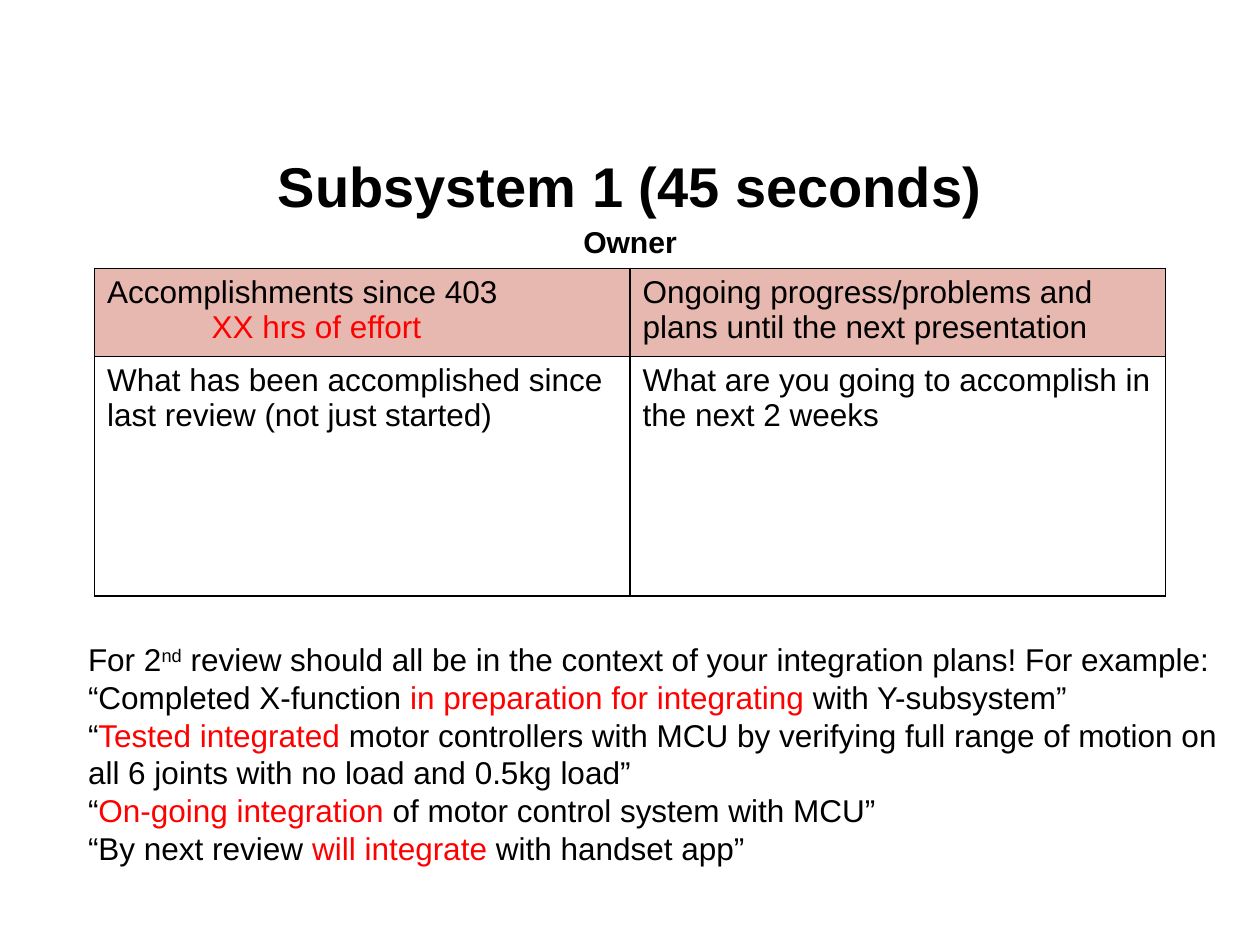
"""Build the subsystem review slide."""
from typing import NamedTuple

from lxml.etree import SubElement
from pptx import Presentation
from pptx.dml.color import RGBColor
from pptx.enum.text import MSO_ANCHOR as Anchor, MSO_AUTO_SIZE as AutoSize, PP_ALIGN as Align
from pptx.oxml.ns import qn
from pptx.util import Inches, Pt

COLORS = {"text": "000000", "accent": "FF0000", "header": "E6B8AF", "border": "000000"}


class Span(NamedTuple):
    text: str
    color: str = "text"
    superscript: bool = False


class Cell(NamedTuple):
    lines: list[list[Span]]
    fill: str | None = None
    last_indent: float = 0


TABLE_ROWS = [
    [
        Cell([[Span("Accomplishments since 403")], [Span("XX hrs of effort", "accent")]],
             "header", 0.83),
        Cell([[Span("Ongoing progress/problems and plans until the next presentation")]],
             "header"),
    ],
    [
        Cell([[Span("What has been accomplished since last review (not just started)")]]),
        Cell([[Span("What are you going to accomplish in the next 2 weeks")]]),
    ],
]
ROW_HEIGHTS = [0.7, 1.9]

EXAMPLES = [
    [Span("For 2"), Span("nd", superscript=True),
     Span(" review should all be in the context of your integration plans! For example:")],
    [Span("“Completed X-function "), Span("in preparation for integrating ", "accent"),
     Span("with Y-subsystem”")],
    [Span("“"), Span("Tested integrated ", "accent"),
     Span("motor controllers with MCU by verifying full range of motion on all 6 joints "
          "with no load and 0.5kg load”")],
    [Span("“"), Span("On-going integration ", "accent"),
     Span("of motor control system with MCU”")],
    [Span("“By next review "), Span("will integrate ", "accent"), Span("with handset app”")],
]


def write_paragraph(frame, spans: list[Span], *, first: bool, size: float = 18,
                    bold: bool = False, align=Align.LEFT, spacing: float = 1,
                    indent: float = 0) -> None:
    paragraph = frame.paragraphs[0] if first else frame.add_paragraph()
    paragraph.alignment = align
    paragraph.line_spacing = spacing
    paragraph.space_before = paragraph.space_after = Pt(0)
    if indent:
        paragraph._p.get_or_add_pPr().set("marL", str(Inches(indent)))
    for span in spans:
        run = paragraph.add_run()
        run.text = span.text
        run.font.name = "Arial"
        run.font.size = Pt(size)
        run.font.bold = bold
        run.font.color.rgb = RGBColor.from_string(COLORS[span.color])
        if span.superscript:
            run.font._element.set("baseline", "30000")


def add_borders(cell) -> None:
    properties = cell._tc.get_or_add_tcPr()
    for side in ("lnL", "lnR", "lnT", "lnB"):
        line = SubElement(properties, qn(f"a:{side}"), w=str(Pt(1)))
        fill = SubElement(line, qn("a:solidFill"))
        SubElement(fill, qn("a:srgbClr"), val=COLORS["border"])


def add_title(slide) -> None:
    title = slide.shapes.title
    title.left, title.top, title.width, title.height = map(Inches, (0.5, 1.15, 9, 0.88))
    frame = title.text_frame
    frame.auto_size = AutoSize.NONE
    frame.vertical_anchor = Anchor.MIDDLE
    for index, (text, size) in enumerate([("Subsystem 1 (45 seconds)", 32), ("Owner", 17.2)]):
        write_paragraph(frame, [Span(text)], first=index == 0, size=size, bold=True,
                        align=Align.CENTER, spacing=1.15)


def add_review_table(slide) -> None:
    table = slide.shapes.add_table(
        2, 2, Inches(0.75), Inches(2.13), Inches(8.5), Inches(sum(ROW_HEIGHTS))).table
    table.first_row = table.horz_banding = False
    for row_index, (contents, height) in enumerate(zip(TABLE_ROWS, ROW_HEIGHTS)):
        table.rows[row_index].height = Inches(height)
        for column_index, content in enumerate(contents):
            cell = table.cell(row_index, column_index)
            add_borders(cell)
            if content.fill:
                cell.fill.solid()
                cell.fill.fore_color.rgb = RGBColor.from_string(COLORS[content.fill])
            else:
                cell.fill.background()
            for index, spans in enumerate(content.lines):
                last = index == len(content.lines) - 1
                write_paragraph(cell.text_frame, spans, first=index == 0,
                                indent=content.last_indent if last else 0)


def add_examples(slide) -> None:
    box = slide.shapes.add_textbox(Inches(0.6), Inches(5.03), Inches(9.19), Inches(2.22))
    frame = box.text_frame
    frame.word_wrap = True
    for index, spans in enumerate(EXAMPLES):
        write_paragraph(frame, spans, first=index == 0)


def main() -> None:
    presentation = Presentation()
    presentation.slide_width, presentation.slide_height = Inches(10), Inches(7.5)
    slide = presentation.slides.add_slide(presentation.slide_layouts[5])
    add_title(slide)
    add_review_table(slide)
    add_examples(slide)
    presentation.save("out.pptx")


main()
